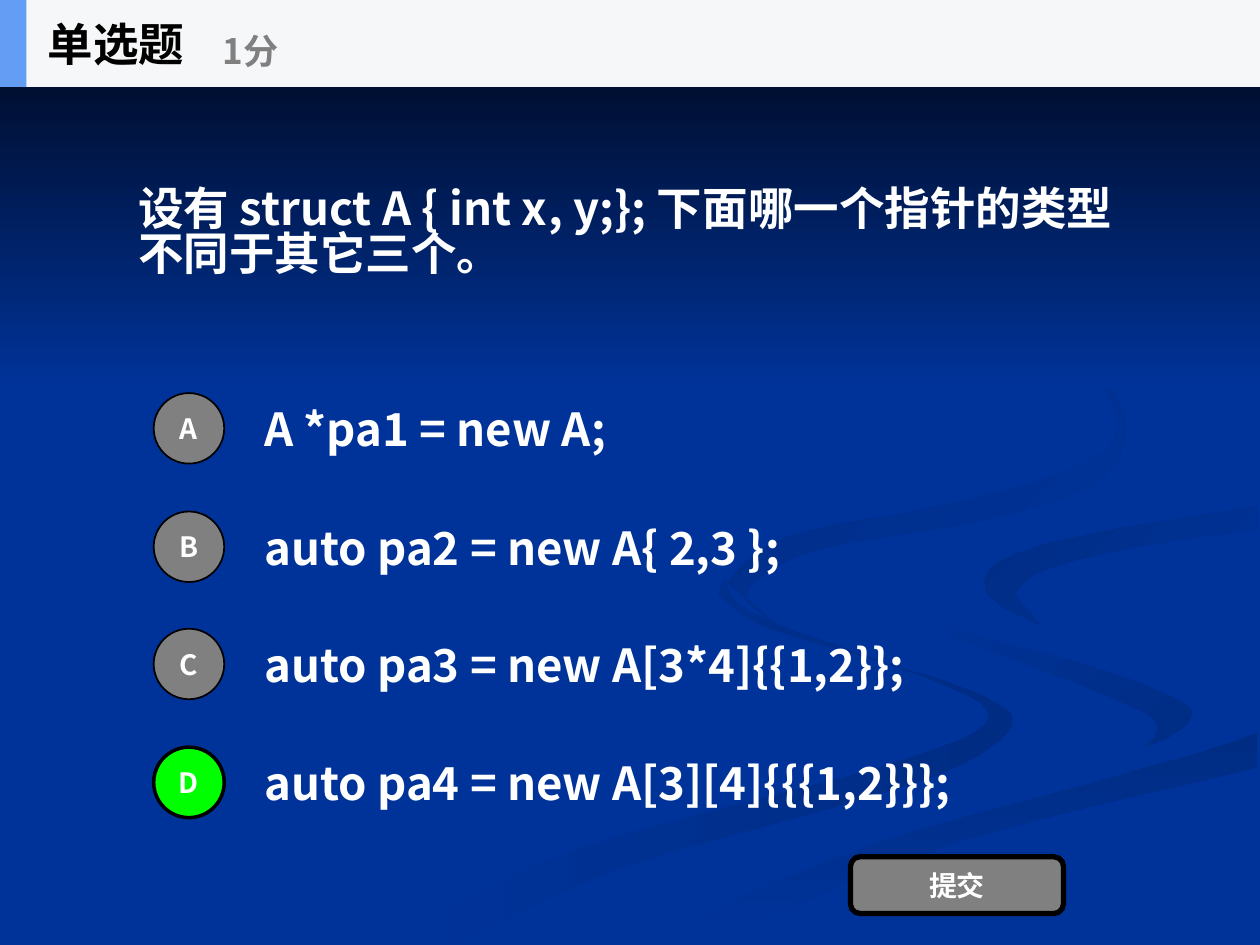
"""Build a single-choice quiz slide about C++ pointer types."""
from pptx import Presentation
from pptx.dml.color import RGBColor
from pptx.enum.shapes import MSO_SHAPE
from pptx.enum.text import MSO_ANCHOR, PP_ALIGN
from pptx.oxml.ns import qn
from pptx.util import Pt

PX = 9144
FONT = "Noto Sans CJK SC"
COLORS = {"blue": "003399", "deep": "002C84", "night": "000514", "white": "FFFFFF",
          "black": "000000", "gray": "808080", "green": "00FF00", "header": "F6F7F8",
          "accent": "639EF4"}

TITLE = "单选题"
SCORE = "1分"
QUESTION = "设有 struct A { int x, y;}; 下面哪一个指针的类型不同于其它三个。"
OPTIONS = [("A", "A *pa1 = new A;"), ("B", "auto pa2 = new A{ 2,3 };"),
           ("C", "auto pa3 = new A[3*4]{{1,2}};"), ("D", "auto pa4 = new A[3][4]{{{1,2}}};")]
ANSWER = "D"
SUBMIT = "提交"
OPTION_TOP, OPTION_STEP = 305, 93.7

SWOOSHES = [
    (("blue", "deep"), 0,
     [(575, 459), (594, 485), (682, 519), (781, 553), (800, 581), (721, 623), (499, 687), (361, 749)],
     [(300, 749), (458, 674), (699, 609), (785, 570), (728, 535), (611, 499), (570, 472)]),
    (("blue", "deep"), 45,
     [(724, 464), (745, 490), (850, 524), (930, 553), (943, 573), (894, 605)],
     [(917, 585), (911, 567), (838, 536), (755, 505)]),
    (("deep", "blue"), 90,
     [(503, 749), (630, 693), (764, 647), (936, 602), (998, 581)],
     [(998, 609), (785, 661), (649, 710), (571, 749)]),
    (("blue",), 0,
     [(725, 464), (759, 498), (905, 540), (942, 579), (743, 643), (477, 749)],
     [(503, 749), (696, 669), (999, 581), (999, 538), (817, 492), (781, 463), (835, 430),
      (999, 402), (999, 387), (770, 427)]),
    (("deep", "blue"), 45,
     [(998, 402), (865, 424), (791, 447), (786, 474), (826, 496)],
     [(805, 472), (828, 453), (896, 435), (998, 420)]),
    (("deep", "blue"), 45,
     [(762, 233), (843, 275), (890, 324), (876, 378), (786, 412), (649, 436), (593, 470), (622, 500)],
     [(577, 462), (625, 426), (763, 398), (876, 360), (876, 306), (805, 254)]),
]


def rgb(name):
    return RGBColor.from_string(COLORS[name])


def smooth(points, steps=6):
    """Return a Catmull-Rom curve through the points."""
    ends = [points[0], *points, points[-1]]
    curve = [points[0]]
    for a, b, c, d in zip(ends, ends[1:], ends[2:], ends[3:]):
        for k in range(1, steps + 1):
            t = k / steps
            curve.append(tuple(
                (2 * q + (r - p) * t + (2 * p - 5 * q + 4 * r - u) * t ** 2
                 + (3 * q - p - 3 * r + u) * t ** 3) / 2
                for p, q, r, u in zip(a, b, c, d)))
    return curve


def place(sp, left, top, width, height):
    sp.left, sp.top, sp.width, sp.height = (round(v) * PX for v in (left, top, width, height))


def put_text(sp, text, size, color="white", align=PP_ALIGN.LEFT, spacing=None):
    tf = sp.text_frame
    tf.text = text
    tf.word_wrap = True
    tf.vertical_anchor = MSO_ANCHOR.MIDDLE
    p = tf.paragraphs[0]
    p.alignment = align
    p.line_spacing = spacing
    p.font.size, p.font.bold = Pt(size), True
    p.font.color.rgb = rgb(color)
    r = p.runs[0]
    r.font.name = FONT
    latin = r._r.rPr.find(qn("a:latin"))
    latin.addnext(latin.makeelement(qn("a:ea"), {"typeface": FONT}))


def add_text(s, box, text, size, color="white", spacing=None):
    sp = s.shapes.add_textbox(0, 0, 0, 0)
    place(sp, *box)
    put_text(sp, text, size, color, spacing=spacing)


def paint(sp, colors, angle=0):
    sp.shadow.inherit = False
    sp.line.fill.background()
    if len(colors) == 1:
        sp.fill.solid()
        sp.fill.fore_color.rgb = rgb(colors[0])
        return
    sp.fill.gradient()
    sp.fill.gradient_angle = -angle % 360
    for i, (stop, color) in enumerate(zip(sp.fill.gradient_stops, colors)):
        stop.color.rgb = rgb(color)
        stop.position = i


def add_box(s, kind, box, colors, line_width=0, angle=0):
    sp = s.shapes.add_shape(kind, 0, 0, 0, 0)
    place(sp, *box)
    paint(sp, colors, angle)
    if line_width:
        sp.line.color.rgb = rgb("black")
        sp.line.width = Pt(line_width)
    return sp


def add_swoosh(s, colors, angle, outer, inner):
    outline = smooth(outer) + smooth(inner)
    builder = s.shapes.build_freeform(*outline[0], scale=PX)
    builder.add_line_segments(outline[1:], close=True)
    paint(builder.convert_to_shape(), colors, angle)


def main():
    prs = Presentation()
    prs.slide_width, prs.slide_height = 1000 * PX, 750 * PX
    s = prs.slides.add_slide(prs.slide_layouts[5])
    s.background.fill.solid()
    s.background.fill.fore_color.rgb = rgb("blue")
    for swoosh in SWOOSHES:
        add_swoosh(s, *swoosh)
    add_box(s, MSO_SHAPE.RECTANGLE, (0, 0, 1000, 308), ("night", "blue"), angle=90)

    add_text(s, (100, 69, 800, 234), QUESTION, 26, spacing=0.82)
    for i, (letter, code) in enumerate(OPTIONS):
        top = OPTION_TOP + i * OPTION_STEP
        add_text(s, (200, top, 700, 70), code, 26)
        fill, width = ("green", 2) if letter == ANSWER else ("gray", 1)
        sp = add_box(s, MSO_SHAPE.OVAL, (122, top + 7, 56, 56), (fill,), width)
        put_text(sp, letter, 16, align=PP_ALIGN.CENTER)
    sp = add_box(s, MSO_SHAPE.ROUNDED_RECTANGLE, (675, 680, 169, 45), ("gray",), 3)
    put_text(sp, SUBMIT, 16, align=PP_ALIGN.CENTER)

    add_box(s, MSO_SHAPE.RECTANGLE, (0, 0, 1000, 69), ("header",))
    add_box(s, MSO_SHAPE.RECTANGLE, (0, 0, 21, 69), ("accent",))
    title = s.shapes.title
    place(title, 28, 0, 208, 69)
    put_text(title, TITLE, 26, "black")
    s.shapes._spTree.append(title._element)
    add_text(s, (167, 12, 250, 56), SCORE, 20, "gray")
    prs.save("out.pptx")


if __name__ == "__main__":
    main()
